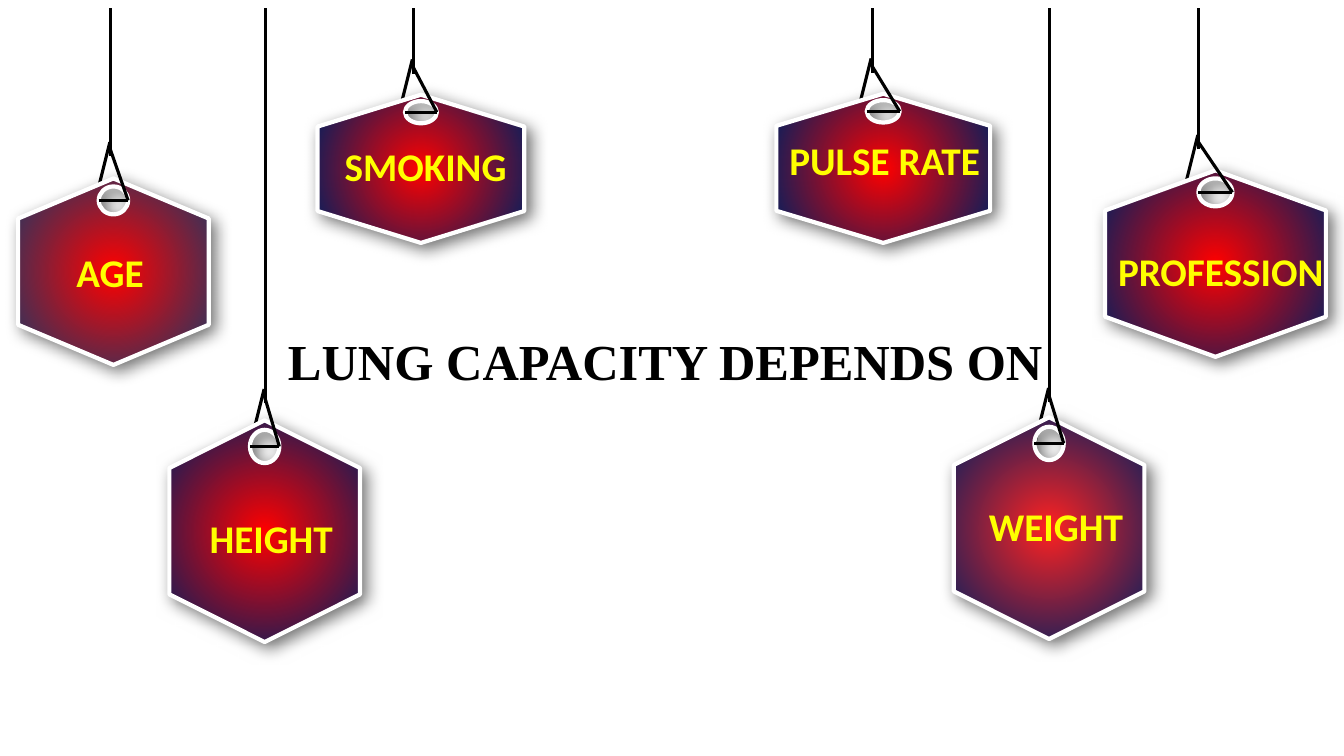
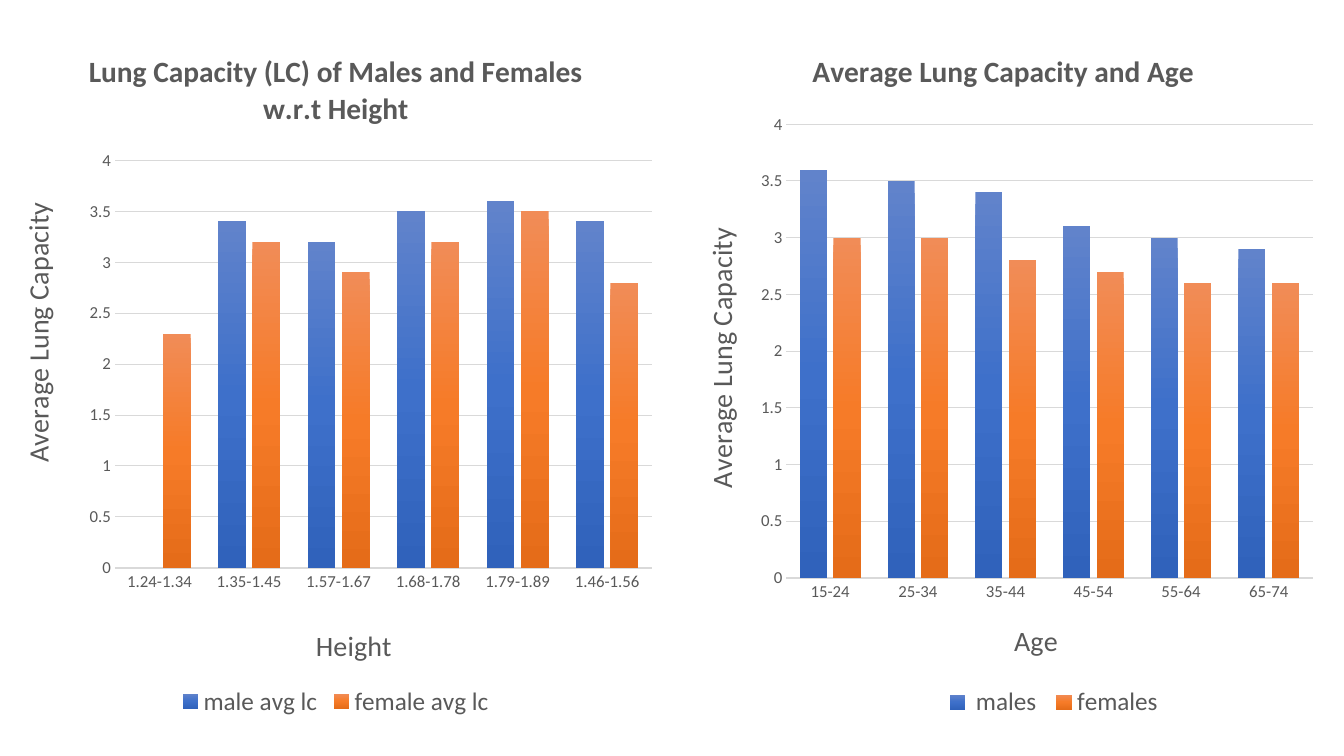
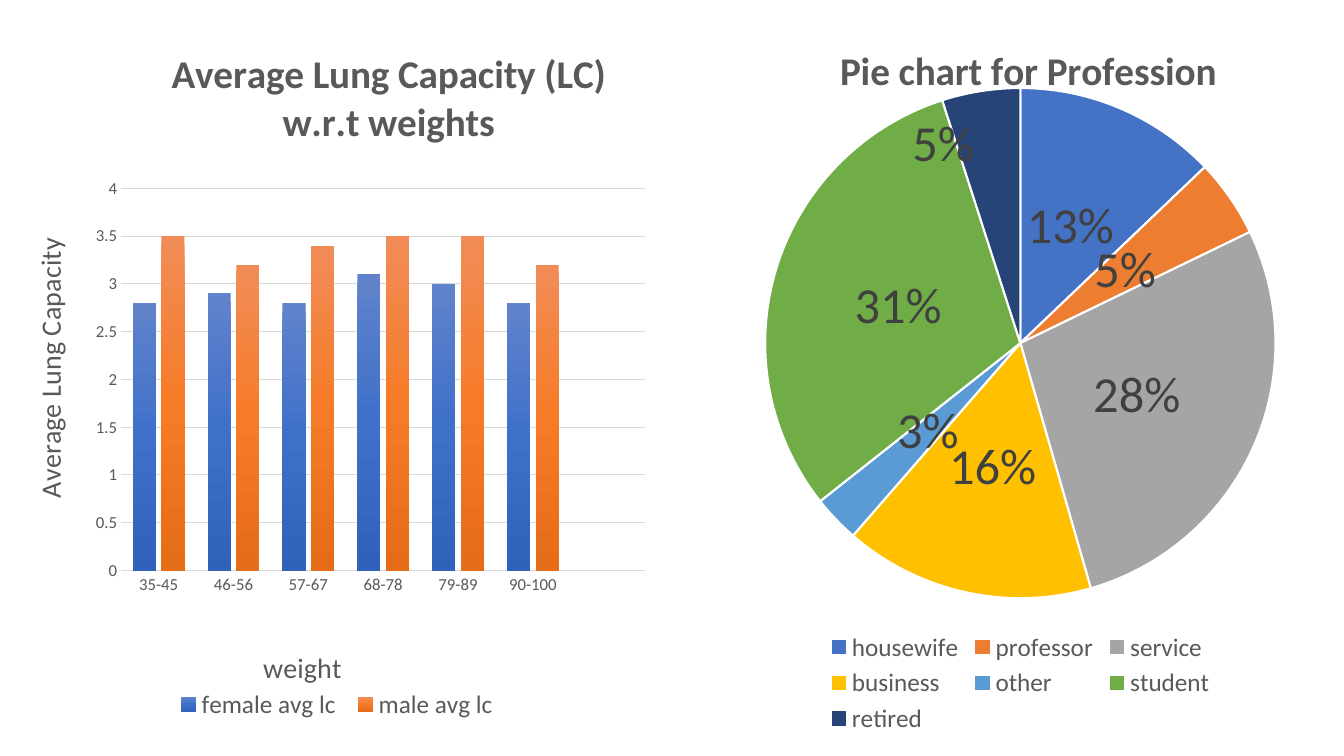
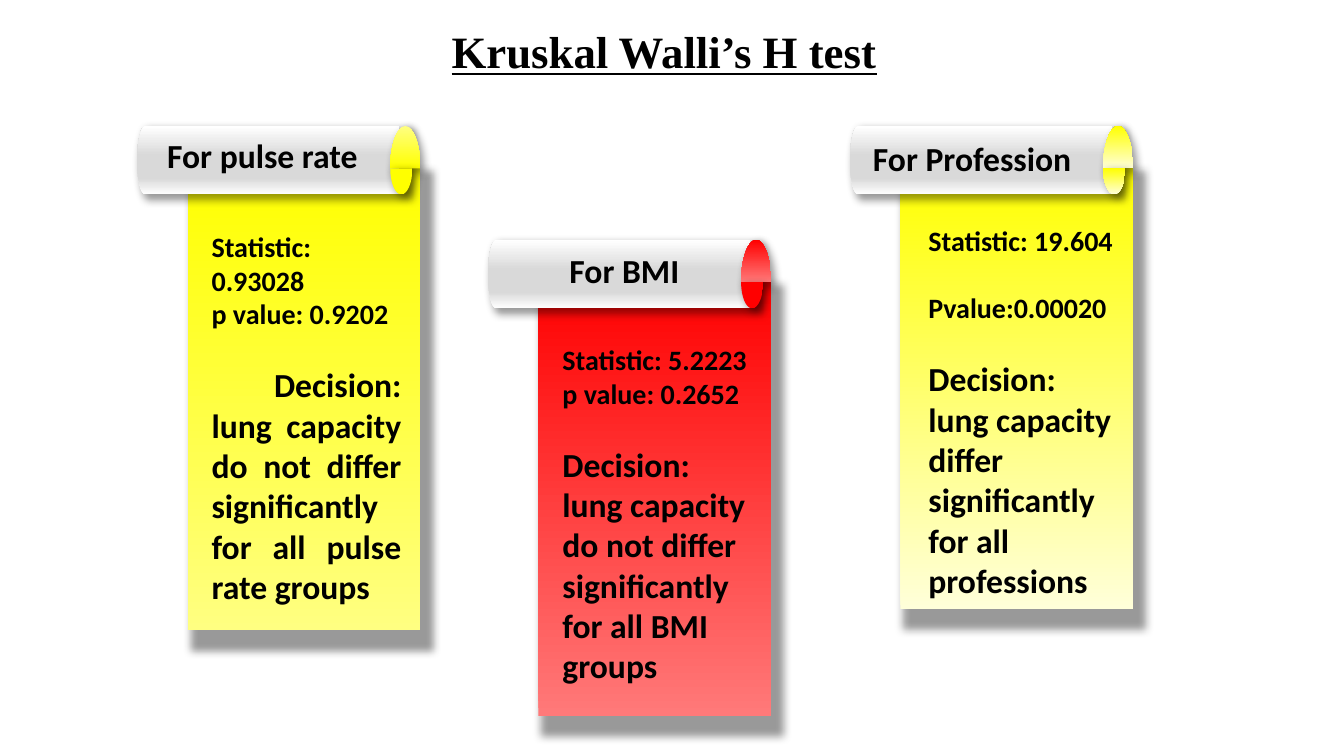
from copy import deepcopy
from math import cos, pi, sin

from pptx import Presentation
from pptx.chart.data import CategoryChartData
from pptx.dml.color import RGBColor
from pptx.enum.chart import XL_CHART_TYPE, XL_LABEL_POSITION, XL_LEGEND_POSITION, XL_TICK_MARK
from pptx.enum.shapes import MSO_CONNECTOR, MSO_SHAPE
from pptx.enum.text import PP_ALIGN
from pptx.oxml import parse_xml
from pptx.oxml.ns import nsdecls, qn
from pptx.util import Inches, Pt

COLUMNS = XL_CHART_TYPE.COLUMN_CLUSTERED
PIE = XL_CHART_TYPE.PIE
LABEL_CENTER = XL_LABEL_POSITION.CENTER
LEGEND_BOTTOM = XL_LEGEND_POSITION.BOTTOM
NO_TICK = XL_TICK_MARK.NONE
STRAIGHT = MSO_CONNECTOR.STRAIGHT
RECTANGLE = MSO_SHAPE.RECTANGLE
LEFT, CENTER, JUSTIFY = PP_ALIGN.LEFT, PP_ALIGN.CENTER, PP_ALIGN.JUSTIFY

COLOURS = {
    "black": "000000", "white": "FFFFFF", "label": "FFFF00",
    "red": "FF0000", "soft red": "FF2121", "pale red": "FF7979",
    "navy": "002060", "slate": "203864", "silver": "D9D9D9",
    "yellow": "FFFF00", "pale yellow": "FFFF81", "cream": "FFFFD9",
    "chart text": "595959", "pie label": "404040",
    "blue top": "6183CB", "blue mid": "3E70CA", "blue end": "3062BB",
    "orange top": "F18C57", "orange mid": "F67B28", "orange end": "E56C19",
    "housewife": "4472C4", "professor": "ED7D31", "service": "A5A5A5",
    "business": "FFC000", "other": "5B9BD5", "student": "70AD47", "retired": "264478",
}
BODY, SERIF = "Calibri", "Times New Roman"
BAR_FILLS = [[(stop, f"{hue} {part}") for stop, part in ((0, "top"), (50, "mid"), (100, "end"))]
             for hue in ("blue", "orange")]
BAND_FILL = [(0, "white"), (24, "silver"), (57, "silver"), (100, "white")]
TAG_SHADOW = {"alpha": 55, "blur": 12, "distance": 5, "scale": 100}
SCROLL_SHADOW = {"alpha": 40, "blur": 6, "distance": 3, "scale": 104}
CURVE_PULL = 0.55


def colour(name):
    return RGBColor.from_string(COLOURS[name])


def polygon(*points):
    return [(point,) for point in points]


def arc(cx, cy, rx, ry, start, quarters):
    turn = 1 if quarters > 0 else -1

    def at(angle, pull):
        radians = angle * pi / 180
        return (cx + rx * (cos(radians) - pull * sin(radians)),
                cy + ry * (sin(radians) + pull * cos(radians)))

    segments = [(at(start, 0),)]
    for step in range(abs(quarters)):
        begin = start + 90 * turn * step
        end = begin + 90 * turn
        segments.append((at(begin, turn * CURVE_PULL), at(end, -turn * CURVE_PULL), at(end, 0)))
    return segments


class Deck:
    """Holds the shared style and the slide being built."""

    def __init__(self):
        self.deck = Presentation()
        self.deck.slide_width, self.deck.slide_height = Inches(13.33), Inches(7.5)
        self.page = None

    def new_page(self):
        self.page = self.deck.slides.add_slide(self.deck.slide_layouts[6])

    def style(self, font, size, name="black", bold=False, face=BODY):
        font.size, font.bold, font.name = Pt(size), bold, face
        font.color.rgb = colour(name)

    def text(self, left, top, width, height, paragraphs, face=BODY, name="black", underline=False):
        box = self.page.shapes.add_textbox(Inches(left), Inches(top), Inches(width), Inches(height))
        frame = box.text_frame
        frame.word_wrap = True
        for index, (words, size, align, gap) in enumerate(paragraphs):
            para = frame.paragraphs[0] if index == 0 else frame.add_paragraph()
            para.alignment = align
            if gap:
                para.space_before = Pt(gap)
            span = para.add_run()
            span.text = words
            self.style(span.font, size, name, True, face)
            if underline:
                span.font.underline = True

    def line(self, start, end):
        points = [Inches(value) for value in (*start, *end)]
        connector = self.page.shapes.add_connector(STRAIGHT, *points)
        connector.line.color.rgb = colour("black")
        connector.line.width = Pt(2.25)
        connector.element.spPr.append(parse_xml(f'<a:effectLst {nsdecls("a")}/>'))

    def gradient(self, fill, properties, stops, angle=None):
        fill.solid()
        marks = "".join(f'<a:gs pos="{stop * 1000}"><a:srgbClr val="{COLOURS[name]}"/></a:gs>'
                        for stop, name in stops)
        if angle is None:
            course = ('<a:path path="circle"><a:fillToRect l="50000" t="50000" '
                      'r="50000" b="50000"/></a:path>')
        else:
            course = f'<a:lin ang="{angle * 60000}" scaled="0"/>'
        solid = properties.find(qn("a:solidFill"))
        properties.replace(solid, parse_xml(
            f'<a:gradFill {nsdecls("a")} rotWithShape="1"><a:gsLst>{marks}</a:gsLst>{course}</a:gradFill>'))

    def finish(self, shape, stops, angle, shadow, outline=None):
        properties = shape.element.spPr
        self.gradient(shape.fill, properties, stops, angle)
        if outline:
            shape.line.color.rgb = colour(outline)
            shape.line.width = Pt(3)
        else:
            shape.line.fill.background()
        shape.shadow.inherit = False
        scale = shadow["scale"] * 1000
        properties.find(qn("a:effectLst")).append(parse_xml(
            f'<a:outerShdw {nsdecls("a")} blurRad="{Pt(shadow["blur"])}" dist="{Pt(shadow["distance"])}" '
            f'dir="2700000" sx="{scale}" sy="{scale}" algn="tl" rotWithShape="0">'
            f'<a:srgbClr val="{COLOURS["black"]}"><a:alpha val="{shadow["alpha"] * 1000}"/></a:srgbClr>'
            '</a:outerShdw>'))

    def outline(self, *contours):
        builder = None
        for contour in contours:
            points = [(Inches(x), Inches(y)) for segment in contour for x, y in segment]
            if builder is None:
                builder = self.page.shapes.build_freeform(*points[0], scale=1.0)
            else:
                builder.move_to(*points[0])
            builder.add_line_segments(points[1:], close=True)
        shape = builder.convert_to_shape()
        strokes = iter(list(shape.element.iter(qn("a:lnTo"))))
        for segment in (segment for contour in contours for segment in contour[1:]):
            nodes = [next(strokes) for _ in segment]
            if len(nodes) == 3:
                curve = parse_xml(f'<a:cubicBezTo {nsdecls("a")}/>')
                nodes[0].addprevious(curve)
                for node in nodes:
                    curve.append(node[0])
                    node.getparent().remove(node)
        return shape

    def hanging_tag(self, left, top, width, height, cord, knot, core="red", rim="navy"):
        right, bottom, middle = left + width, top + height, left + width / 2
        shoulder = height * 0.215
        hole_y, hole_rx, hole_ry = top + height * 0.118, width * 0.077, height * 0.075
        self.line((cord - 0.15, knot + 0.56), (cord - 0.01, knot))
        hexagon = polygon((middle, top), (right, top + shoulder), (right, bottom - shoulder),
                          (middle, bottom), (left, bottom - shoulder), (left, top + shoulder))
        hole = arc(middle, hole_y, hole_rx, hole_ry, 270, -4)
        self.finish(self.outline(hole, hexagon), [(0, core), (97, rim)], None, TAG_SHADOW, "white")
        self.line((cord, knot + 0.14), (cord, 0.08))
        self.line((cord - 0.01, knot + 0.06), (middle + hole_rx, hole_y))
        self.line((middle - hole_rx, hole_y), (middle + hole_rx, hole_y))

    def scroll(self, left, top, height, pale, deep, curl_angle, fold):
        fade = [(0, pale), (100, deep)]
        crease, curl = top + 0.42, left + 2.51
        sheet = self.page.shapes.add_shape(
            RECTANGLE, Inches(left + 0.5), Inches(crease), Inches(2.31), Inches(height))
        self.finish(sheet, fade, 270, SCROLL_SHADOW)
        band = arc(left + 0.08, top + 0.34, 0.08, 0.34, 90, 2)
        band += polygon((left + 2.6, top), (left + 2.6, top + 0.68))
        self.finish(self.outline(band), BAND_FILL, 270, SCROLL_SHADOW)
        upper = arc(curl + 0.15, crease, 0.15, 0.42, 180, 2)
        self.finish(self.outline(upper), fade, curl_angle, SCROLL_SHADOW)
        lower = arc(curl + 0.11, crease, 0.11, 0.26, 0, 2)
        self.finish(self.outline(lower), [(0, fold), (100, deep)], 270, SCROLL_SHADOW)

    def manual_layout(self, parent, index, frame, box, inner=False):
        old = parent.find(qn("c:layout"))
        if old is not None:
            parent.remove(old)
        left, top, width, height = frame
        shares = [(box[0] - left) / width, (box[1] - top) / height]
        shares += [value / whole for value, whole in zip(box[2:], (width, height))]
        target = '<c:layoutTarget val="inner"/>' if inner else ""
        modes = "".join(f'<c:{axis}Mode val="edge"/>' for axis in "xy")
        sizes = "".join(f'<c:{key} val="{value:.3f}"/>' for key, value in zip("xywh", shares))
        parent.insert(index, parse_xml(
            f'<c:layout {nsdecls("c")}><c:manualLayout>{target}{modes}{sizes}</c:manualLayout></c:layout>'))

    def chart_text(self, frame, words, size, bold=False):
        span = frame.paragraphs[0].add_run()
        span.text = words
        self.style(span.font, size, "chart text", bold)

    def chart(self, kind, frame, plot_box, title, size, categories, series, title_at=None, legend_box=None):
        data = CategoryChartData()
        data.categories = categories
        for name, values in series:
            data.add_series(name, values)
        chart = self.page.shapes.add_chart(kind, *(Inches(value) for value in frame), data).chart
        self.style(chart.font, 10)
        chart.has_title = True
        self.chart_text(chart.chart_title.text_frame, title, size, True)
        if title_at:
            self.manual_layout(chart.element.find(".//" + qn("c:title")), 1, frame, title_at)
        chart.has_legend = True
        chart.legend.position = LEGEND_BOTTOM
        chart.legend.include_in_layout = False
        self.style(chart.legend.font, 18, "chart text")
        if legend_box:
            self.manual_layout(chart.element.find(".//" + qn("c:legend")), 1, frame, legend_box)
        self.manual_layout(chart.element.find(".//" + qn("c:plotArea")), 0, frame, plot_box, True)
        return chart

    def column_chart(self, frame, plot_box, title, size, categories, series, x_title, x_at, y_at, **places):
        chart = self.chart(COLUMNS, frame, plot_box, title, size, categories, series, **places)
        plot = chart.plots[0]
        plot.gap_width, plot.overlap, plot.vary_by_categories = 100, -24, False
        for bars, stops in zip(plot.series, BAR_FILLS):
            bars.invert_if_negative = False
            bars.format.fill.solid()
            self.gradient(bars.format.fill, bars._element.find(qn("c:spPr")), stops, 90)
        values = chart.value_axis
        values.minimum_scale, values.maximum_scale, values.major_unit = 0, 4, 0.5
        values.format.line.fill.background()
        values.major_gridlines.format.line.color.rgb = colour("silver")
        values.major_gridlines.format.line.width = Pt(0.75)
        chart.category_axis.format.line.color.rgb = colour("silver")
        chart.category_axis.format.line.width = Pt(1)
        titles = ((chart.category_axis, x_title, x_at, 0),
                  (values, "Average Lung Capacity", y_at, -5400000))
        for axis, words, place, turn in titles:
            axis.major_tick_mark = axis.minor_tick_mark = NO_TICK
            self.style(axis.tick_labels.font, 12, "chart text")
            self.chart_text(axis.axis_title.text_frame, words, 20)
            heading = axis.axis_title._element
            body = heading.find(".//" + qn("a:bodyPr"))
            body.set("rot", str(turn))
            body.set("vert", "horz")
            self.manual_layout(heading, 1, frame, place)

    def pie_chart(self, frame, plot_box, title, size, slices, moved, shift, **places):
        chart = self.chart(PIE, frame, plot_box, title, size, list(slices),
                           [("Series 1", slices.values())], **places)
        chart.plots[0].vary_by_categories = True
        series = chart.plots[0].series[0]
        for index, name in enumerate(slices):
            wedge = series.points[index].format
            wedge.fill.solid()
            wedge.fill.fore_color.rgb = colour(name)
            wedge.line.color.rgb = colour("white")
            wedge.line.width = Pt(1.5)
        labels = series.data_labels
        labels.show_value, labels.show_percentage = False, True
        labels.number_format, labels.number_format_is_linked = "0%", False
        labels.position = LABEL_CENTER
        self.style(labels.font, 36, "pie label")
        shared = labels._element
        label = parse_xml(
            f'<c:dLbl {nsdecls("c")}><c:idx val="{moved}"/><c:layout><c:manualLayout>'
            f'<c:x val="{shift[0]}"/><c:y val="{shift[1]}"/></c:manualLayout></c:layout></c:dLbl>')
        for child in shared:
            if child.tag != qn("c:showLeaderLines"):
                label.append(deepcopy(child))
        shared.insert(0, label)


def factors_page(deck):
    deck.new_page()
    tags = [
        ("AGE", (0.66, 2.41, 1.15), (0.18, 1.77, 1.89, 1.85, 1.1, 1.41, "red", "slate")),
        ("HEIGHT", (1.98, 5.05, 1.89), (1.68, 4.17, 1.89, 2.2, 2.63, 3.86)),
        ("SMOKING", (3.32, 1.36, 1.84), (3.15, 0.94, 2.05, 1.47, 4.1, 0.59)),
        ("PULSE RATE", (7.73, 1.3, 2.21), (7.7, 0.93, 2.12, 1.48, 8.65, 0.58)),
        ("WEIGHT", (9.71, 4.93, 1.69), (9.46, 4.14, 1.89, 2.2, 10.41, 3.85, "soft red")),
        ("PROFESSION", (10.99, 2.4, 2.29), (10.96, 1.69, 2.19, 1.85, 11.89, 1.34)),
    ]
    for _, _, tag in tags:
        deck.hanging_tag(*tag)
    for words, place, _ in tags:
        deck.text(*place, 0.57, [(words, 28, LEFT, 0)], name="label")
    deck.text(2.6, 3.23, 8, 1.25, [("LUNG CAPACITY DEPENDS ON", 36, CENTER, 0)], SERIF)


def height_and_age_page(deck):
    deck.new_page()
    deck.column_chart(
        (0.07, 0.26, 6.52, 6.9), (1.14, 1.59, 5.33, 4.04),
        "Lung Capacity (LC) of Males and Females w.r.t Height", 21,
        ["1.24-1.34", "1.35-1.45", "1.57-1.67", "1.68-1.78", "1.79-1.89", "1.46-1.56"],
        [("male avg lc", [0, 3.4, 3.2, 3.5, 3.6, 3.4]),
         ("female avg lc", [2.3, 3.2, 2.9, 3.2, 3.5, 2.8])],
        "Height", (3.08, 6.16), (0.13, 1.96))
    deck.column_chart(
        (6.74, 0.26, 6.42, 7), (7.8, 1.23, 5.22, 4.5),
        "Average Lung Capacity and Age", 21,
        ["15-24", "25-34", "35-44", "45-54", "55-64", "65-74"],
        [(" males", [3.6, 3.5, 3.4, 3.1, 3, 2.9]),
         ("females", [3, 3, 2.8, 2.7, 2.6, 2.6])],
        "Age", (10.01, 6.11), (6.91, 2.21), legend_box=(9.3, 6.74, 2.3, 0.45))


def weight_and_profession_page(deck):
    deck.new_page()
    deck.column_chart(
        (0.14, 0.27, 6.4, 6.92), (1.2, 1.87, 5.2, 3.79),
        "Average Lung Capacity (LC) w.r.t weights", 28,
        ["35-45", "46-56", "57-67", "68-78", "79-89", "90-100", ""],
        [("female avg lc ", [2.8, 2.9, 2.8, 3.1, 3, 2.8, None]),
         ("male avg lc", [3.5, 3.2, 3.4, 3.5, 3.5, 3.2, None])],
        "weight", (2.56, 6.38), (0.25, 2.31), title_at=(1.63, 0.4))
    deck.pie_chart(
        (7.27, 0.14, 5.7, 7.19), (7.59, 0.87, 5.06, 5.06), "Pie chart for Profession", 28,
        {"housewife": 13, "professor": 5, "service": 28, "business": 16,
         "other": 3, "student": 31, "retired": 5}, 6, (-0.1, -0.1), title_at=(8.26, 0.37))


def test_page(deck):
    deck.new_page()
    deck.scroll(1.36, 1.25, 4.58, "pale yellow", "yellow", 90, "yellow")
    deck.scroll(4.84, 2.38, 4.3, "pale red", "red", 270, "red")
    deck.scroll(8.43, 1.25, 4.37, "cream", "yellow", 270, "cream")
    headings = [("For pulse rate", 1.56, 1.29, 2.31), ("For BMI", 5.55, 2.43, 1.76),
                ("For Profession", 8.56, 1.32, 2.31)]
    for words, left, top, width in headings:
        deck.text(left, top, width, 0.5, [(words, 24, JUSTIFY, 0)])
    results = [
        (2, 2.23, 3.87, "Statistic: 0.93028", "p value: 0.9202", 0, JUSTIFY,
         " Decision: lung capacity do not differ significantly for all pulse rate groups"),
        (5.48, 3.35, 3.53, "Statistic: 5.2223", "p value: 0.2652", 0, LEFT,
         "Decision: lung capacity do not differ significantly for all BMI groups"),
        (9.11, 2.17, 3.87, "Statistic: 19.604", "Pvalue:0.00020", 24, LEFT,
         "Decision: lung capacity differ significantly for all professions"),
    ]
    for left, top, height, statistic, p_value, gap, align, decision in results:
        deck.text(left, top, 2.08, height, [
            (statistic, 20, JUSTIFY, 0), (p_value, 20, JUSTIFY, gap), (decision, 24, align, 24)])
    deck.text(4.38, 0.19, 5.85, 0.64, [("Kruskal Walli’s H test", 32, LEFT, 0)], SERIF, underline=True)


def main():
    deck = Deck()
    for build in (factors_page, height_and_age_page, weight_and_profession_page, test_page):
        build(deck)
    deck.deck.save("out.pptx")


if __name__ == "__main__":
    main()
